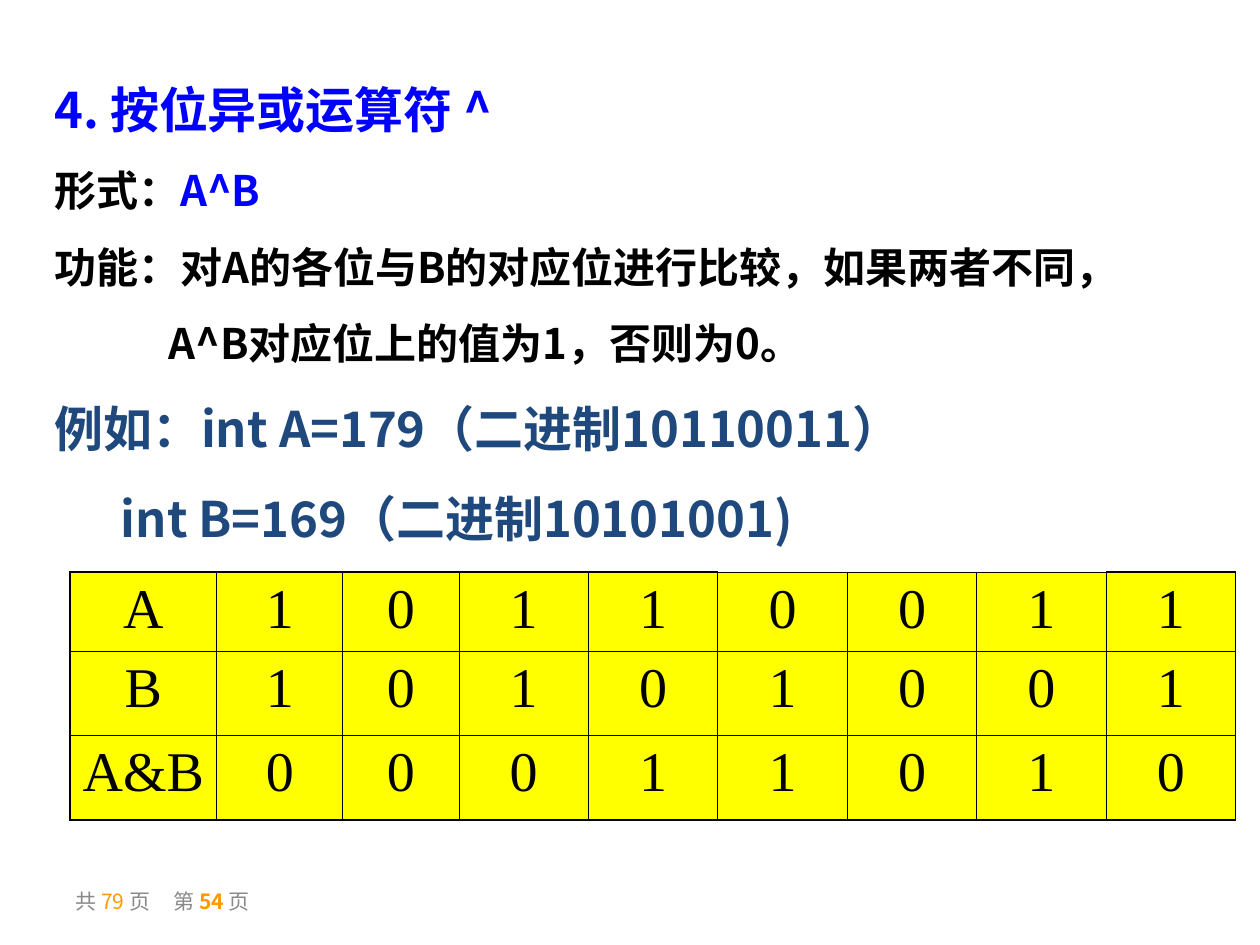
import pptx
import pptx.enum.text
import pptx.oxml
import pptx.oxml.ns
import pptx.util
from pptx.util import Cm

COLORS = {
    "heading": "0000FF",
    "text": "000000",
    "example": "1F497D",
    "cell": "FFFF00",
    "border": "000000",
    "footer": "898989",
    "number": "FF9900",
}
ALIGN = pptx.enum.text.PP_ALIGN
ANCHOR = pptx.enum.text.MSO_ANCHOR
THIN, THICK = 0.45, 1.08


def color(name):
    return pptx.dml.color.RGBColor.from_string(COLORS[name])


def element(tag, content="", **attributes):
    listed = "".join(f' {key}="{value}"' for key, value in attributes.items())
    namespace = pptx.oxml.ns.nsdecls("a")
    return pptx.oxml.parse_xml(f"<a:{tag} {namespace}{listed}>{content}</a:{tag}>")


class SlideBuilder:
    """Holds the text style and the current slide."""

    heading_font = "Noto Sans CJK JP"
    example_font = "Noto Sans CJK SC"
    table_font = "Times New Roman"

    def __init__(self, presentation):
        self.slide = presentation.slides.add_slide(presentation.slide_layouts[1])

    def place(self, shape, left, top, width, height, anchor=ANCHOR.TOP):
        shape.left, shape.top = Cm(left), Cm(top)
        shape.width, shape.height = Cm(width), Cm(height)
        frame = shape.text_frame
        frame.word_wrap = True
        frame.auto_size = pptx.enum.text.MSO_AUTO_SIZE.NONE
        frame.vertical_anchor = anchor
        return frame

    def style(self, paragraph, size, font_name, font_color=None, bold=False):
        font = paragraph.font
        font.size = pptx.util.Pt(size)
        font.name = font_name
        font._rPr.append(element("ea", typeface=font_name))
        font.bold = bold
        if font_color:
            font.color.rgb = color(font_color)

    def add_runs(self, paragraph, runs):
        for text, run_color in runs:
            run = paragraph.add_run()
            run.text = text
            run.font.color.rgb = color(run_color)

    def title(self, text, *box):
        paragraph = self.place(self.slide.shapes.title, *box).paragraphs[0]
        paragraph.text = text
        paragraph.alignment = ALIGN.LEFT
        self.style(paragraph, 28, self.heading_font, "heading", bold=True)

    def body(self, lines, *box):
        frame = self.place(self.slide.placeholders[1], *box)
        for index, (runs, size, font_name, indent) in enumerate(lines):
            paragraph = frame.paragraphs[0] if index == 0 else frame.add_paragraph()
            self.add_runs(paragraph, runs)
            properties = paragraph._p.get_or_add_pPr()
            properties.set("marL", str(Cm(indent)))
            properties.set("indent", "0")
            paragraph.space_before = pptx.util.Pt(size * 0.625 if index else 0)
            properties.append(element("buNone"))
            self.style(paragraph, size, font_name, bold=True)

    def table(self, rows, left, top, widths, heights):
        shape = self.slide.shapes.add_table(
            len(rows), len(widths), Cm(left), Cm(top), Cm(sum(widths)), Cm(sum(heights)))
        table = shape.table
        for column, width in zip(table.columns, widths):
            column.width = Cm(width)
        for row, height in zip(table.rows, heights):
            row.height = Cm(height)
        last = len(rows) - 1
        for row_index, values in enumerate(rows):
            for column_index, value in enumerate(values):
                # The top edge is thin over columns 5 to 7
                heavy_top = row_index == 0 and column_index not in (5, 6, 7)
                self.cell(table.cell(row_index, column_index), value, {
                    "lnL": THICK if column_index == 0 else THIN,
                    "lnR": THIN,
                    "lnT": THICK if heavy_top else THIN,
                    "lnB": THICK if row_index == last else THIN,
                })

    def cell(self, cell, value, borders):
        properties = cell._tc.get_or_add_tcPr()
        fill = f'<a:solidFill><a:srgbClr val="{COLORS["border"]}"/></a:solidFill>'
        for side, width in borders.items():
            properties.append(element(side, fill, w=int(pptx.util.Pt(width))))
        cell.fill.solid()
        cell.fill.fore_color.rgb = color("cell")
        paragraph = cell.text_frame.paragraphs[0]
        paragraph.text = value
        paragraph.alignment = ALIGN.CENTER
        self.style(paragraph, 32, self.table_font, "text")

    def footer(self, total, number, *box):
        shape = self.slide.shapes.add_textbox(0, 0, 0, 0)
        paragraph = self.place(shape, *box, anchor=ANCHOR.MIDDLE).paragraphs[0]
        self.add_runs(paragraph, [
            ("共 ", "footer"), (f"{total} ", "number"), ("页\t第 ", "footer"),
            (f"{number} ", "number"), ("页", "footer")])
        paragraph.runs[3].font.bold = True
        tab = f'<a:tab {pptx.oxml.ns.nsdecls("a")} pos="{Cm(1.98)}" algn="l"/>'
        paragraph._p.get_or_add_pPr().append(element("tabLst", tab))
        self.style(paragraph, 12, self.heading_font)


def main():
    presentation = pptx.Presentation()
    presentation.slide_width, presentation.slide_height = Cm(25.4), Cm(19.05)
    builder = SlideBuilder(presentation)
    plain, example = builder.heading_font, builder.example_font

    # Heading and explanation: runs, size, font, indent
    builder.title("4. 按位异或运算符 ^", 0.84, 1.47, 23.5, 1.6)
    builder.body([
        ([("形式：", "text"), ("A^B", "heading")], 24, plain, 0),
        ([("功能：对A的各位与B的对应位进行比较，如果两者不同，", "text")], 24, plain, 0),
        ([("A^B对应位上的值为1，否则为0。", "text")], 24, plain, 2.3),
        ([("例如：int A=179（二进制10110011）", "example")], 28, example, 0),
        ([("int B=169（二进制10101001)", "example")], 28, example, 1.34),
    ], 0.84, 3.19, 23.5, 8.1)

    # Bit table
    builder.table([
        ["A", *"10110011"],
        ["B", *"10101001"],
        ["A&B", *"00011010"],
    ], 1.41, 11.53, [2.96, 2.54, 2.34] + [2.61] * 6, [1.6, 1.7, 1.7])

    # Page count
    builder.footer(79, 54, 1.27, 17.65, 5.92, 1.02)
    presentation.save("out.pptx")


if __name__ == "__main__":
    main()
